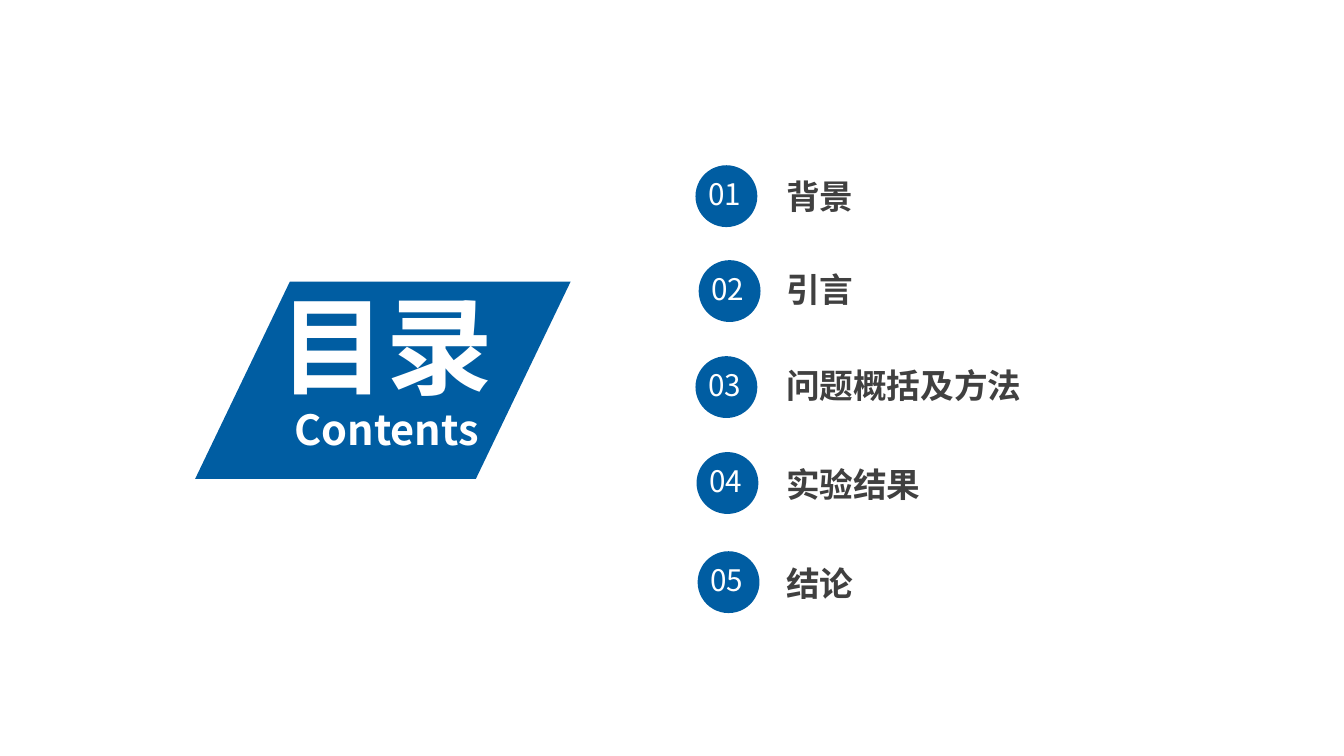
from lxml import etree
from pptx import Presentation
from pptx import util as u
from pptx.dml.color import RGBColor
from pptx.enum import shapes, text
from pptx.oxml.ns import qn

PX = 9144  # 100 px to the inch
FONT = "Noto Sans CJK SC"
BLUE = RGBColor(0x00, 0x5D, 0xA2)
WHITE = RGBColor(0xFF, 0xFF, 0xFF)
GREY = RGBColor(0x40, 0x40, 0x40)


def add_blue_shape(group, kind, *box):
    shape = group.shapes.add_shape(kind, *[n * PX for n in box])
    shape.shadow.inherit = False
    shape.fill.solid()
    shape.fill.fore_color.rgb = BLUE
    shape.line.fill.background()
    return shape


def add_label(parent, box, lines, color, bold, paragraph_format, frame_format):
    """Add a text box; lines holds (wording, size in points) pairs."""
    frame = parent.shapes.add_textbox(*[n * PX for n in box]).text_frame
    for name, value in frame_format.items():
        setattr(frame, name, value)
    for index, (wording, size) in enumerate(lines):
        paragraph = frame.add_paragraph() if index else frame.paragraphs[0]
        for name, value in paragraph_format.items():
            setattr(paragraph, name, value)
        run = paragraph.add_run()
        run.text = wording
        font_format = {"size": u.Pt(size), "bold": bold, "name": FONT}
        for name, value in font_format.items():
            setattr(run.font, name, value)
        run.font.color.rgb = color
        etree.SubElement(run.font._element, qn("a:ea"), typeface=FONT)


presentation = Presentation()
presentation.slide_width = 1260 * PX
presentation.slide_height = 709 * PX
slide = presentation.slides.add_slide(presentation.slide_layouts[6])

# Title panel
title = slide.shapes.add_group_shape()
panel = add_blue_shape(title, shapes.MSO_SHAPE.PARALLELOGRAM, 183, 264, 352, 185)
panel.adjustments[0] = 0.48
add_label(title, (239, 324, 247, 54), [("目录", 72), ("Contents", 28)], WHITE, True,
          {"alignment": text.PP_ALIGN.CENTER, "line_spacing": 0.9},
          {"word_wrap": True, "vertical_anchor": text.MSO_ANCHOR.MIDDLE})

# Contents list: wording, badge left and top, heading top
entries = [
    ("背景", 652, 155, 161),
    ("引言", 655, 244, 248),
    ("问题概括及方法", 652, 334, 338),
    ("实验结果", 653, 424, 431),
    ("结论", 654, 517, 524),
]
number_frame = {"word_wrap": False, "auto_size": text.MSO_AUTO_SIZE.SHAPE_TO_FIT_TEXT}
heading_frame = {
    "word_wrap": True,
    "auto_size": text.MSO_AUTO_SIZE.SHAPE_TO_FIT_TEXT,
    "margin_left": 8 * PX,
    "margin_right": 8 * PX,
    "margin_top": 4 * PX,
    "margin_bottom": 4 * PX,
}
for number, (heading, left, top, heading_top) in enumerate(entries, 1):
    badge = slide.shapes.add_group_shape()
    add_blue_shape(badge, shapes.MSO_SHAPE.OVAL, left, top, 58, 58)
    add_label(badge, (left + 2, top + 5, 53, 44), [(f"{number:02}", 20)],
              WHITE, False, {}, number_frame)
    add_label(slide, (729, heading_top, 500, 46), [(heading, 22.7)],
              GREY, True, {}, heading_frame)

presentation.save("out.pptx")
